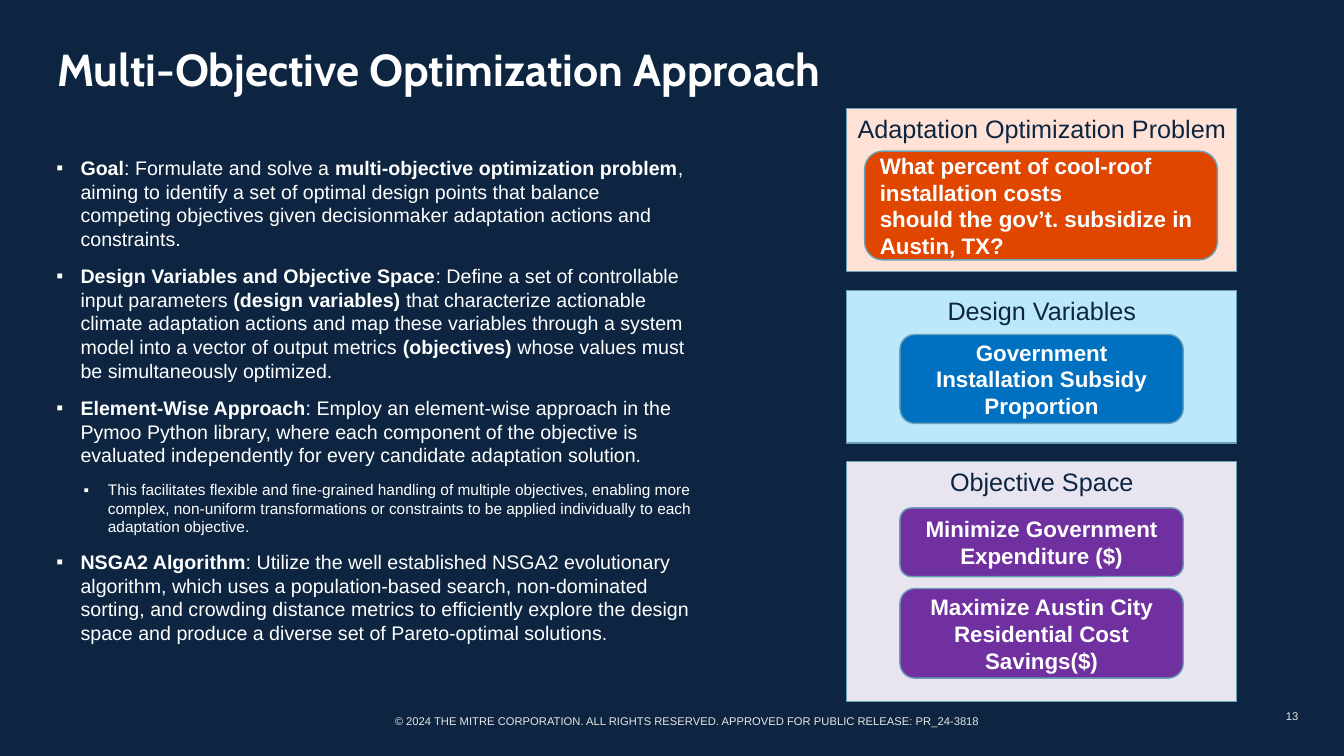
from pptx import Presentation
from pptx.dml.color import RGBColor
from pptx.enum.shapes import MSO_SHAPE as Shape
from pptx.enum.text import MSO_ANCHOR as Anchor, PP_ALIGN as Align
from pptx.oxml.ns import qn
from pptx.util import Cm, Pt
from lxml.etree import SubElement

NAVY = RGBColor(0x0D, 0x25, 0x41)
WHITE = RGBColor(0xFF, 0xFF, 0xFF)
GRAY = RGBColor(0xE6, 0xE6, 0xE6)
TEAL = RGBColor(0x6A, 0xA0, 0xB7)
PEACH = RGBColor(0xFF, 0xE2, 0xD5)
ORANGE = RGBColor(0xE0, 0x46, 0x00)
SKY = RGBColor(0xBC, 0xE8, 0xFB)
BLUE = RGBColor(0x00, 0x70, 0xC0)
LAVENDER = RGBColor(0xE8, 0xE5, 0xF1)
PURPLE = RGBColor(0x70, 0x30, 0xA0)

presentation = Presentation()
presentation.slide_width, presentation.slide_height = Cm(33.87), Cm(19.05)
slide = presentation.slides.add_slide(presentation.slide_layouts[6])
slide.background.fill.solid()
slide.background.fill.fore_color.rgb = NAVY


def add_run(paragraph, text, size, color=WHITE, bold=False, font="Arial"):
    run = paragraph.add_run()
    run.text = text
    run.font.name = font
    run.font.size = Pt(size)
    run.font.bold = bold
    run.font.color.rgb = color


def add_block(left, top, width, height, fill=None, kind=None, anchor=Anchor.TOP):
    box = [Cm(value) for value in (left, top, width, height)]
    if kind is None:
        shape = slide.shapes.add_textbox(*box)
    else:
        shape = slide.shapes.add_shape(kind, *box)
        shape.shadow.inherit = False
        shape.fill.solid()
        shape.fill.fore_color.rgb = fill
        shape.line.color.rgb = TEAL
        shape.line.width = Pt(1)
    shape.text_frame.word_wrap = True
    shape.text_frame.vertical_anchor = anchor
    return shape.text_frame


# Title
title = add_block(1.19, 1.02, 31.5, 1.52, anchor=Anchor.BOTTOM).paragraphs[0]
title.line_spacing = 0.9
add_run(title, "Multi-Objective Optimization Approach", 32, bold=True, font="Cabin")

# Bullets: level, then runs that alternate between bold and regular
bullets = [
    (0, ["Goal", ": Formulate and solve a ", "multi-objective optimization problem",
         ", aiming to identify a set of optimal design points that balance competing "
         "objectives given decisionmaker adaptation actions and constraints."]),
    (0, ["Design Variables and Objective Space",
         ": Define a set of controllable input parameters ", "(design variables)",
         " that characterize actionable climate adaptation actions and map these "
         "variables through a system model into a vector of output metrics ",
         "(objectives) ", "whose values must be simultaneously optimized."]),
    (0, ["Element-Wise Approach",
         ": Employ an element-wise approach in the Pymoo Python library, where each "
         "component of the objective is evaluated independently for every candidate "
         "adaptation solution."]),
    (1, ["This facilitates flexible and fine-grained handling of multiple objectives, "
         "enabling more complex, non-uniform transformations or constraints to be "
         "applied individually to each adaptation objective."]),
    (0, ["NSGA2 Algorithm",
         ": Utilize the well established NSGA2 evolutionary algorithm, which uses a "
         "population-based search, non-dominated sorting, and crowding distance metrics "
         "to efficiently explore the design space and produce a diverse set of "
         "Pareto-optimal solutions."]),
]
body = add_block(1.17, 3.81, 16.59, 12.7)
for index, (level, texts) in enumerate(bullets):
    paragraph = body.add_paragraph() if index else body.paragraphs[0]
    paragraph.level = level
    if index:
        paragraph.space_before = Pt(10)
    properties = paragraph._p.get_or_add_pPr()
    properties.set("marL", str(Cm(1.3 if level else 0.61)))
    properties.set("indent", str(-Cm(0.61)))
    SubElement(properties, qn("a:buFont"), typeface="Arial")
    SubElement(properties, qn("a:buChar"), char="▪")
    for position, text in enumerate(texts):
        add_run(paragraph, text, 11 if level else 14,
                bold=level == 0 and position % 2 == 0)

# Panels: heading, top, height, fill
panels = [
    ("Adaptation Optimization Problem", 2.74, 4.11, PEACH),
    ("Design Variables", 7.32, 3.84, SKY),
    ("Objective Space", 11.63, 6.05, LAVENDER),
]
for heading, top, height, fill in panels:
    paragraph = add_block(21.34, top, 9.83, height, fill, Shape.RECTANGLE).paragraphs[0]
    paragraph.alignment = Align.CENTER
    add_run(paragraph, heading, 18, NAVY)

# Rounded cards: lines, left, top, width, height, fill, alignment
cards = [
    (["What percent of cool-roof installation costs",
      "should the gov’t. subsidize in Austin, TX?"],
     21.79, 3.81, 8.89, 2.74, ORANGE, Align.LEFT),
    (["Government Installation Subsidy Proportion"],
     22.68, 8.43, 7.14, 2.24, BLUE, Align.CENTER),
    (["Minimize Government Expenditure ($)"],
     22.68, 12.8, 7.14, 1.73, PURPLE, Align.CENTER),
    (["Maximize Austin City Residential Cost Savings($)"],
     22.68, 14.83, 7.14, 2.26, PURPLE, Align.CENTER),
]
for lines, left, top, width, height, fill, alignment in cards:
    card = add_block(left, top, width, height, fill, Shape.ROUNDED_RECTANGLE, Anchor.MIDDLE)
    paragraph = card.paragraphs[0]
    paragraph.alignment = alignment
    for index, line in enumerate(lines):
        if index:
            paragraph.add_line_break()
        add_run(paragraph, line, 16, bold=True)

# Footer and page number
footers = [
    ("© 2024 THE MITRE CORPORATION. ALL RIGHTS RESERVED. "
     "APPROVED FOR PUBLIC RELEASE: PR_24-3818", 5.08, 17.91, 24.49, Align.CENTER),
    ("13", 30.99, 17.78, 1.73, Align.RIGHT),
]
for text, left, top, width, alignment in footers:
    frame = add_block(left, top, width, 0.51, anchor=Anchor.MIDDLE)
    frame.margin_left = frame.margin_right = frame.margin_top = frame.margin_bottom = 0
    frame.paragraphs[0].alignment = alignment
    add_run(frame.paragraphs[0], text, 8, GRAY)

presentation.save("out.pptx")
